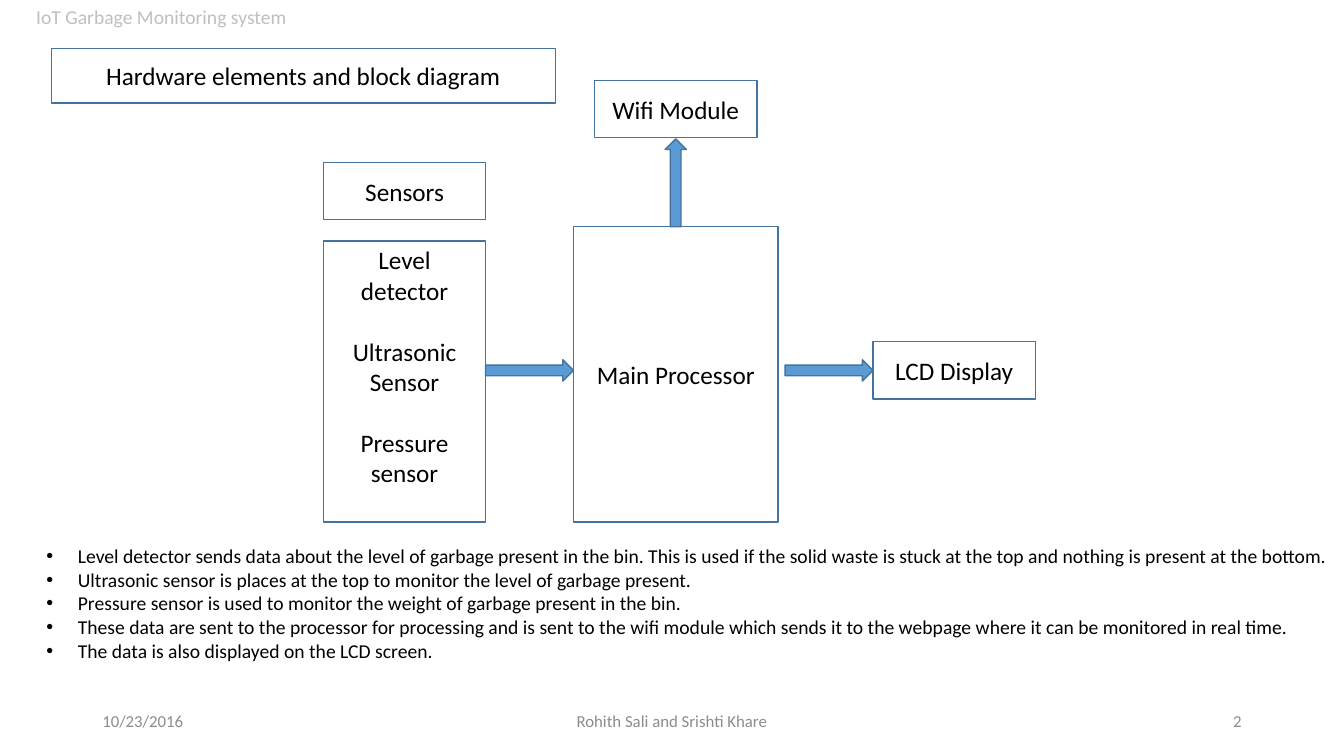
from lxml.etree import SubElement
from pptx import Presentation
from pptx.dml.color import RGBColor
from pptx.enum.shapes import MSO_SHAPE
from pptx.enum.text import MSO_ANCHOR, MSO_AUTO_SIZE, PP_ALIGN
from pptx.oxml.ns import qn
from pptx.util import Pt

BLACK = RGBColor(0x00, 0x00, 0x00)
HEADER_GREY = RGBColor(0xBF, 0xBF, 0xBF)
FOOTER_GREY = RGBColor(0x8C, 0x8C, 0x8C)
ARROW_BLUE = RGBColor(0x5B, 0x9B, 0xD5)
OUTLINE_BLUE = RGBColor(0x43, 0x73, 0x9E)

FONT = "Calibri"
SLIDE_WIDTH, SLIDE_HEIGHT = 960, 540
BLOCK_WIDTH, BLOCK_HEIGHT = 116, 41
ARROW_LENGTH, ARROW_THICKNESS = 62.8, 15.2
LINE_GAP = 22
BULLET_INDENT = 22.5

SENSORS = ["Level detector", "Ultrasonic Sensor", "Pressure sensor"]
NOTES = [
    "Level detector sends data about the level of garbage present in the bin. "
    "This is used if the solid waste is stuck at the top and nothing is present at the bottom.",
    "Ultrasonic sensor is places at the top to monitor the level of garbage present.",
    "Pressure sensor is used to monitor the weight of garbage present in the bin.",
    "These data are sent to the processor for processing and is sent to the wifi module "
    "which sends it to the webpage where it can be monitored in real time.",
    "The data is also displayed on the LCD screen.",
]


def place(shape, left, top, width, height):
    shape.left, shape.top = Pt(left), Pt(top)
    shape.width, shape.height = Pt(width), Pt(height)


def write(shape, lines, size, color, alignment, anchor):
    """Fill the shape with one paragraph per line and return the paragraphs."""
    frame = shape.text_frame
    frame.text = "\n".join(lines)
    frame.word_wrap = True
    frame.auto_size = MSO_AUTO_SIZE.NONE
    frame.vertical_anchor = anchor
    for paragraph in frame.paragraphs:
        paragraph.alignment = alignment
        paragraph.space_before = Pt(0)
        paragraph.font.name = FONT
        paragraph.font.size = Pt(size)
        paragraph.font.color.rgb = color
    return frame.paragraphs


def outline(shape):
    shape.line.color.rgb = OUTLINE_BLUE
    shape.line.width = Pt(1)


def add_label(slide, text, left, top, width, height, size, color,
              alignment=PP_ALIGN.LEFT, anchor=MSO_ANCHOR.MIDDLE):
    label = slide.shapes.add_textbox(Pt(left), Pt(top), Pt(width), Pt(height))
    write(label, [text], size, color, alignment, anchor)


def add_block(slide, lines, left, top, width=BLOCK_WIDTH, height=BLOCK_HEIGHT):
    block = slide.shapes.add_shape(
        MSO_SHAPE.RECTANGLE, Pt(left), Pt(top), Pt(width), Pt(height))
    block.shadow.inherit = False
    block.fill.background()
    outline(block)
    write(block, lines, 18, BLACK, PP_ALIGN.CENTER, MSO_ANCHOR.MIDDLE)
    return block


def add_arrow(slide, kind, left, top, width, height):
    arrow = slide.shapes.add_shape(kind, Pt(left), Pt(top), Pt(width), Pt(height))
    arrow.shadow.inherit = False
    arrow.fill.solid()
    arrow.fill.fore_color.rgb = ARROW_BLUE
    outline(arrow)


def fill_title(slide, left, top, width, height):
    title = slide.shapes.title
    place(title, left, top, width, height)
    outline(title)
    write(title, ["Hardware elements and block diagram"], 18, BLACK,
          PP_ALIGN.CENTER, MSO_ANCHOR.MIDDLE)


def add_block_diagram(slide, left, top, height):
    """Draw sensors, processor, wifi module and display from the top-left corner."""
    bottom = top + height
    processor_left, processor_top, processor_width = left + 178.6, top + 104.5, 146.2
    processor_center = processor_left + processor_width / 2
    display_left = left + 392.6
    arrow_top = top + 199.5
    arrow_middle = arrow_top + ARROW_THICKNESS / 2

    add_block(slide, ["Main Processor"], processor_left, processor_top,
              processor_width, bottom - processor_top)
    add_block(slide, ["Sensors"], left, top + 58.5)
    sensors_top = top + 114.5
    sensors = add_block(slide, SENSORS, left, sensors_top, height=bottom - sensors_top)
    sensors.text_frame.margin_bottom = Pt(3.6 + LINE_GAP)
    for paragraph in sensors.text_frame.paragraphs[1:]:
        paragraph.space_before = Pt(LINE_GAP)
    add_block(slide, ["Wifi Module"], processor_center - BLOCK_WIDTH / 2, top)
    add_block(slide, ["LCD Display"], display_left, arrow_middle - BLOCK_HEIGHT / 2)

    for arrow_end in (processor_left, display_left):
        add_arrow(slide, MSO_SHAPE.RIGHT_ARROW, arrow_end - ARROW_LENGTH, arrow_top,
                  ARROW_LENGTH, ARROW_THICKNESS)
    add_arrow(slide, MSO_SHAPE.UP_ARROW, processor_center - ARROW_THICKNESS / 2,
              processor_top - ARROW_LENGTH, ARROW_THICKNESS, ARROW_LENGTH)


def fill_notes(slide, left, top, width, height):
    body = slide.placeholders[1]
    place(body, left, top, width, height)
    for paragraph in write(body, NOTES, 14, BLACK, PP_ALIGN.LEFT, MSO_ANCHOR.TOP):
        properties = paragraph._p.get_or_add_pPr()
        properties.set("marL", str(Pt(BULLET_INDENT)))
        properties.set("indent", str(-Pt(BULLET_INDENT)))
        bullet_font = properties.makeelement(qn("a:buFont"), {"typeface": "Arial"})
        properties.find(qn("a:defRPr")).addprevious(bullet_font)
        bullet = SubElement(properties, qn("a:buChar"), {"char": "•"})
        bullet_font.addnext(bullet)


def add_footer(slide, left, top, width, height):
    side_width, center_width = 216, 324
    parts = [
        ("10/23/2016", left, side_width, PP_ALIGN.LEFT),
        ("Rohith Sali and Srishti Khare", left + (width - center_width) / 2,
         center_width, PP_ALIGN.CENTER),
        ("2", left + width - side_width, side_width, PP_ALIGN.RIGHT),
    ]
    for text, part_left, part_width, alignment in parts:
        add_label(slide, text, part_left, top, part_width, height, 12,
                  FOOTER_GREY, alignment)


def main():
    presentation = Presentation()
    presentation.slide_width, presentation.slide_height = Pt(SLIDE_WIDTH), Pt(SLIDE_HEIGHT)
    slide = presentation.slides.add_slide(presentation.slide_layouts[1])
    add_label(slide, "IoT Garbage Monitoring system", 18.7, 0, 275, 24.5, 14,
              HEADER_GREY, anchor=MSO_ANCHOR.TOP)
    fill_title(slide, 36.7, 34.6, 360, 39)
    add_block_diagram(slide, 231, 57.5, 315.5)
    fill_notes(slide, 25.9, 385.2, 934, 92)
    add_footer(slide, 66, 500.5, 828, 28.8)
    presentation.save("out.pptx")


if __name__ == "__main__":
    main()
